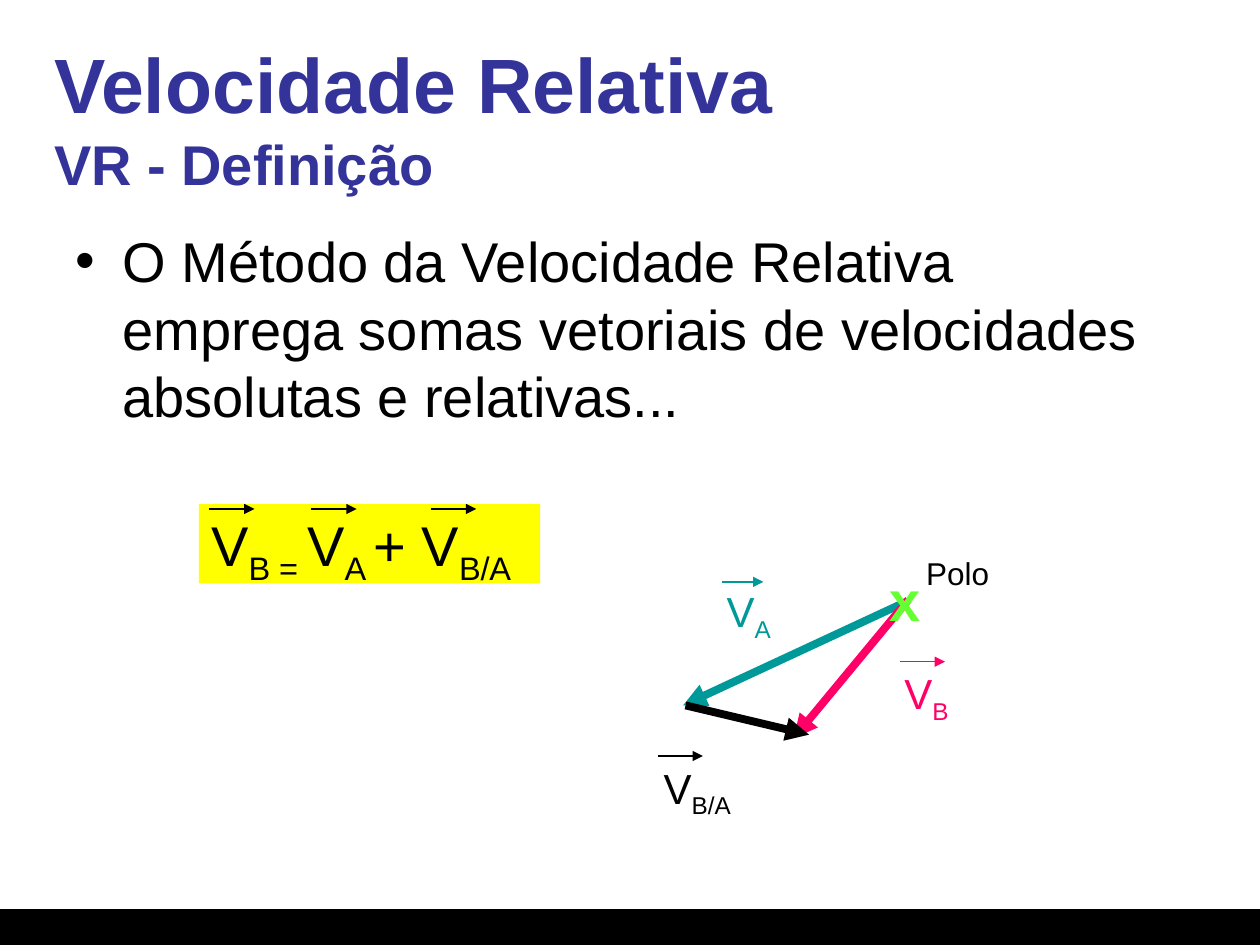
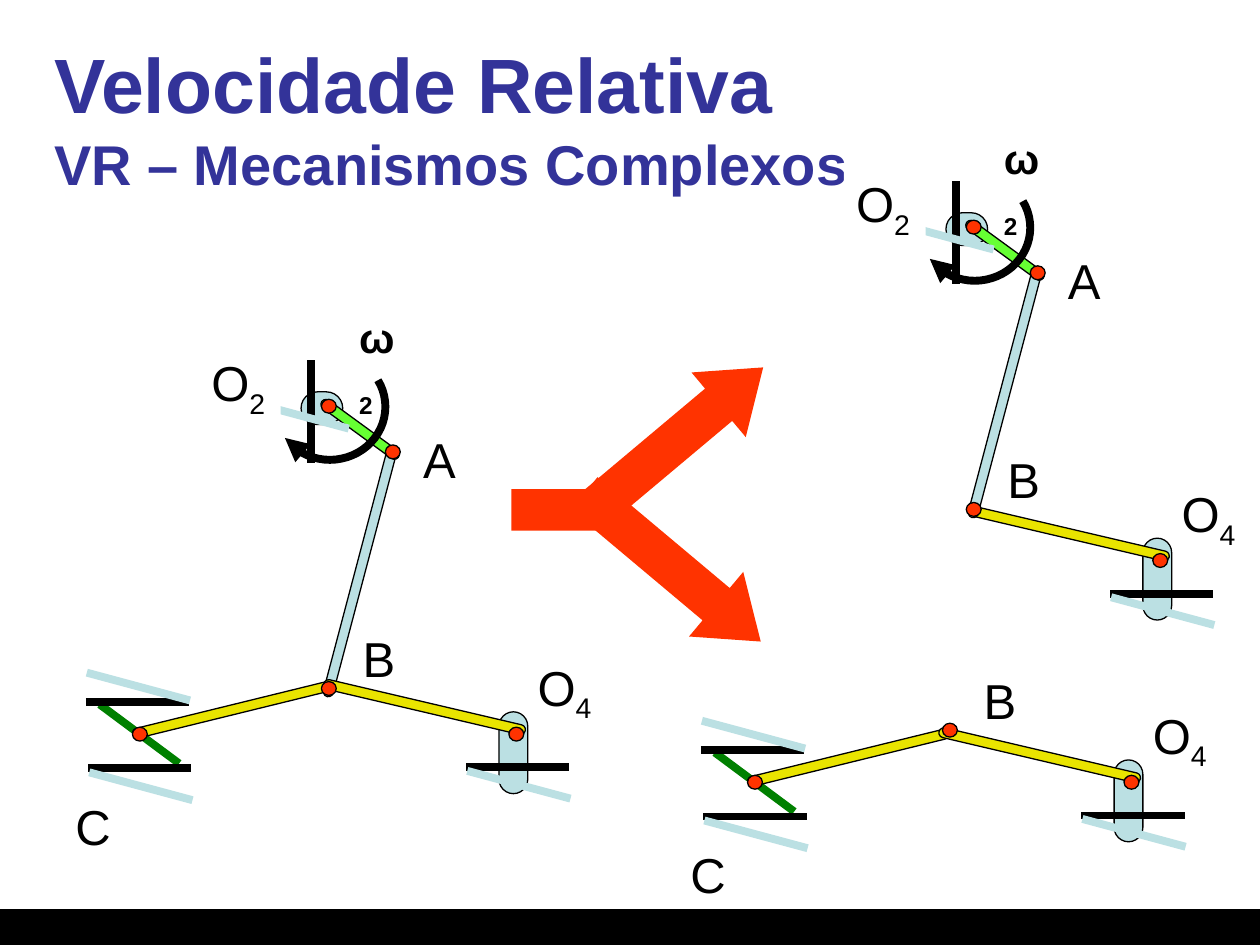
"""Build two slides on the relative velocity method for mechanisms."""
from math import cos, radians, sin

from lxml import etree
from pptx import Presentation
from pptx.dml.color import RGBColor
from pptx.enum import shapes, text
from pptx.oxml.ns import qn
from pptx.util import Cm, Pt

BLACK = RGBColor(0, 0, 0)
WHITE = RGBColor(255, 255, 255)
NAVY = RGBColor(0x33, 0x33, 0x99)
YELLOW = RGBColor(255, 255, 0)
TEAL = RGBColor(0, 0x99, 0x99)
PINK = RGBColor(255, 0, 0x66)
LIME = RGBColor(0x66, 255, 0x33)
GREEN = RGBColor(0, 0x80, 0)
PALE = RGBColor(0xBB, 0xE0, 0xE3)
GOLD = RGBColor(0xE9, 0xE4, 0)
RED = RGBColor(255, 0x33, 0)
FONT = "Arial"
THIN, THICK = 0.75, 4.5
RECT = shapes.MSO_SHAPE.RECTANGLE
ROUND = shapes.MSO_SHAPE.ROUNDED_RECTANGLE
OVAL = shapes.MSO_SHAPE.OVAL
ARROW = shapes.MSO_SHAPE.RIGHT_ARROW
STRAIGHT = shapes.MSO_CONNECTOR.STRAIGHT


def stroke(sp, color, width, arrow=False):
    sp.line.color.rgb = color
    sp.line.width = Pt(width)
    spPr = sp._element.spPr
    if arrow:
        etree.SubElement(spPr.find(qn("a:ln")), qn("a:tailEnd"), type="triangle")
    etree.SubElement(spPr, qn("a:effectLst"))


def write(s, at, words, size, color=BLACK, fill=None, bold=False, wrap=False):
    sp = s.shapes.add_textbox(*[Cm(v) for v in at])
    if fill is not None:
        sp.fill.solid()
        sp.fill.fore_color.rgb = fill
    tf = sp.text_frame
    tf.word_wrap = wrap
    p = tf.paragraphs[0]
    for i, part in enumerate(words.split("_")):
        r = p.add_run()
        r.text = part
        r.font.name, r.font.size, r.font.bold = FONT, Pt(size), bold
        r.font.color.rgb = color
        if i % 2:
            r._r.get_or_add_rPr().set("baseline", "-25000")
    return p


prs = Presentation()
prs.slide_width, prs.slide_height = Cm(25.4), Cm(19.05)

for subtitle in ("VR - Definição", "VR – Mecanismos Complexos"):
    s = prs.slides.add_slide(prs.slide_layouts[6])
    band = s.shapes.add_shape(RECT, 0, Cm(18.34), Cm(25.4), Cm(0.71))
    band.fill.solid()
    band.fill.fore_color.rgb = BLACK
    stroke(band, BLACK, THIN)
    p = write(s, (0.84, 0.76, 23.7, 3.18), "Velocidade Relativa", 44, NAVY, bold=True, wrap=True)
    p.add_line_break()
    r = p.add_run()
    r.text = subtitle
    r.font.name, r.font.size, r.font.bold = FONT, Pt(32), True
    r.font.color.rgb = NAVY
    s.shapes[-1].text_frame.vertical_anchor = text.MSO_ANCHOR.MIDDLE

definition, mechanisms = prs.slides

s = definition
p = write(s, (1.27, 4.45, 22.43, 7.67),
          "O Método da Velocidade Relativa emprega somas vetoriais de "
          "velocidades absolutas e relativas...", 32, wrap=True)
p.space_before = Pt(6.4)
pPr = p._p.get_or_add_pPr()
pPr.set("marL", str(Cm(0.95)))
pPr.set("indent", str(Cm(-0.95)))
etree.SubElement(pPr, qn("a:buFont"), typeface=FONT)
etree.SubElement(pPr, qn("a:buChar"), char="•")

write(s, (4.01, 10.16, 6.88, 1.6), "V_B = _V_A _+ V_B/A", 32, fill=YELLOW, wrap=True)

for x1, y1, x2, y2, color, width in (
    (4.22, 10.26, 5.13, 10.26, BLACK, THIN),
    (6.27, 10.26, 7.19, 10.26, BLACK, THIN),
    (8.69, 10.26, 9.6, 10.26, BLACK, THIN),
    (18.29, 12.12, 13.77, 14.22, TEAL, THICK),
    (18.31, 12.09, 16, 14.88, PINK, THICK),
    (13.82, 14.22, 16.31, 14.81, BLACK, THICK),
    (14.55, 11.73, 15.39, 11.73, TEAL, THIN),
    (18.14, 13.34, 19.05, 13.34, PINK, THIN),
    (13.26, 15.24, 14.17, 15.24, BLACK, THIN),
):
    sp = s.shapes.add_connector(STRAIGHT, Cm(x1), Cm(y1), Cm(x2), Cm(y2))
    stroke(sp, color, width, arrow=True)

write(s, (17.68, 11.28, 1.14, 1.6), "x", 32, LIME, bold=True)
write(s, (14.4, 11.68, 1.45, 1.27), "V_A", 24, TEAL)
write(s, (17.98, 13.34, 1.45, 1.27), "V_B", 24, PINK)
write(s, (13.13, 15.24, 1.98, 1.27), "V_B/A", 24)
write(s, (18.42, 11.05, 1.78, 1.02), "Polo", 18)

s = mechanisms
PIN = (0.3, 0.28, 0, RED)
GROUND = (2.08, 0.56, 0, PALE)
slider = [
    (RECT, 2.01, 14.2, 1.6, 1.19, 0, GREEN),
    (ROUND, 4.6, 12.22, 0.2, 4.17, 76.2, GOLD),
    (OVAL, 2.67, 14.66, *PIN),
    (STRAIGHT, 1.78, 15.49, 2.08, 0, 0, BLACK),
    (RECT, 1.8, 15.57, *GROUND),
    (STRAIGHT, 1.73, 14.15, 2.08, 0, 0, BLACK),
    (RECT, 1.75, 13.56, *GROUND),
]
crank = [
    (ROUND, 6.07, 7.9, 0.84, 0.66, 0, PALE),
    (ROUND, 7.16, 8.92, 0.2, 5.21, 14.8, PALE),
    (ROUND, 7.16, 7.7, 0.2, 1.91, 306.1, LIME),
    (STRAIGHT, 6.27, 7.26, 0, 2.08, 0, BLACK),
    (RECT, 4.95, 8.08, 2.08, 0.56, 90, PALE),
    (OVAL, 6.48, 8.05, *PIN),
    (OVAL, 7.77, 8.97, *PIN),
]
rocker = [
    (ROUND, 10.06, 14.35, 0.58, 1.65, 0, PALE),
    (OVAL, 10.26, 14.61, *PIN),
    (STRAIGHT, 9.4, 15.47, 2.08, 0, 0, BLACK),
    (RECT, 9.42, 15.54, *GROUND),
    (ROUND, 8.46, 12.17, 0.2, 4.17, 283.2, GOLD),
    (OVAL, 10.26, 14.66, *PIN),
]
joint = [(OVAL, 6.48, 13.74, *PIN)]
slider_names = [("C", 1.27, 15.93, 1.22, None)]
crank_names = [("O_2", 4.01, 6.99, 1.65, WHITE), ("A", 8.28, 8.53, 1.17, WHITE)]
rocker_names = [("O_4", 10.59, 13.13, 1.65, None)]
joint_names = [("B", 7.06, 12.55, 1.17, None)]

for parts, names, dx, dy in (
    (slider, slider_names, 0, 0),
    (crank, crank_names, 0, 0),
    (rocker, rocker_names, 0, 0),
    (joint, joint_names, 0, 0),
    (rocker, rocker_names, 12.98, -3.5),
    (crank, crank_names, 13, -3.61),
    (joint, joint_names, 13, -3.61),
    (slider, slider_names, 12.4, 0.97),
    (rocker, rocker_names, 12.4, 0.97),
    (joint, joint_names, 12.52, 0.84),
):
    for kind, x, y, w, h, turn, color in parts:
        x, y = x + dx, y + dy
        if kind == STRAIGHT:
            sp = s.shapes.add_connector(kind, Cm(x), Cm(y), Cm(x + w), Cm(y + h))
            stroke(sp, color, THICK)
            continue
        sp = s.shapes.add_shape(kind, Cm(x), Cm(y), Cm(w), Cm(h))
        sp.rotation = turn
        sp.fill.solid()
        sp.fill.fore_color.rgb = color
        if kind == ROUND:
            sp.adjustments[0] = 0.5
        if kind == RECT and color == PALE:
            sp.line.fill.background()
            sp.shadow.inherit = False
        else:
            stroke(sp, BLACK, THIN)
    for name, x, y, w, fill in names:
        write(s, (x + dx, y + dy, w, 1.45), name, 28, fill=fill)
    if parts is crank:
        arc = [(Cm(6.65 + dx + 1.12 * cos(radians(a))), Cm(8.2 + dy + 1.07 * sin(radians(a))))
               for a in range(-30, 145, 6)]
        fb = s.shapes.build_freeform(*arc[0])
        fb.add_line_segments(arc[1:], close=False)
        sp = fb.convert_to_shape()
        sp.fill.background()
        stroke(sp, BLACK, THICK, arrow=True)
        write(s, (6.99 + dx, 6.15 + dy, 1.4, 1.27), "ω_2", 24, bold=True, wrap=True)

for kind, x, y, w, h, turn in (
    (ARROW, 11.28, 8.05, 4.65, 1.7, 320),
    (ARROW, 11.23, 10.59, 4.65, 1.7, 40),
    (RECT, 10.31, 9.86, 2.34, 0.84, 0),
):
    sp = s.shapes.add_shape(kind, Cm(x), Cm(y), Cm(w), Cm(h))
    sp.rotation = turn
    sp.fill.solid()
    sp.fill.fore_color.rgb = RED
    sp.line.fill.background()
    sp.shadow.inherit = False
    if kind == ARROW:
        sp.adjustments[0], sp.adjustments[1] = 0.5, 0.69

prs.save("out.pptx")
